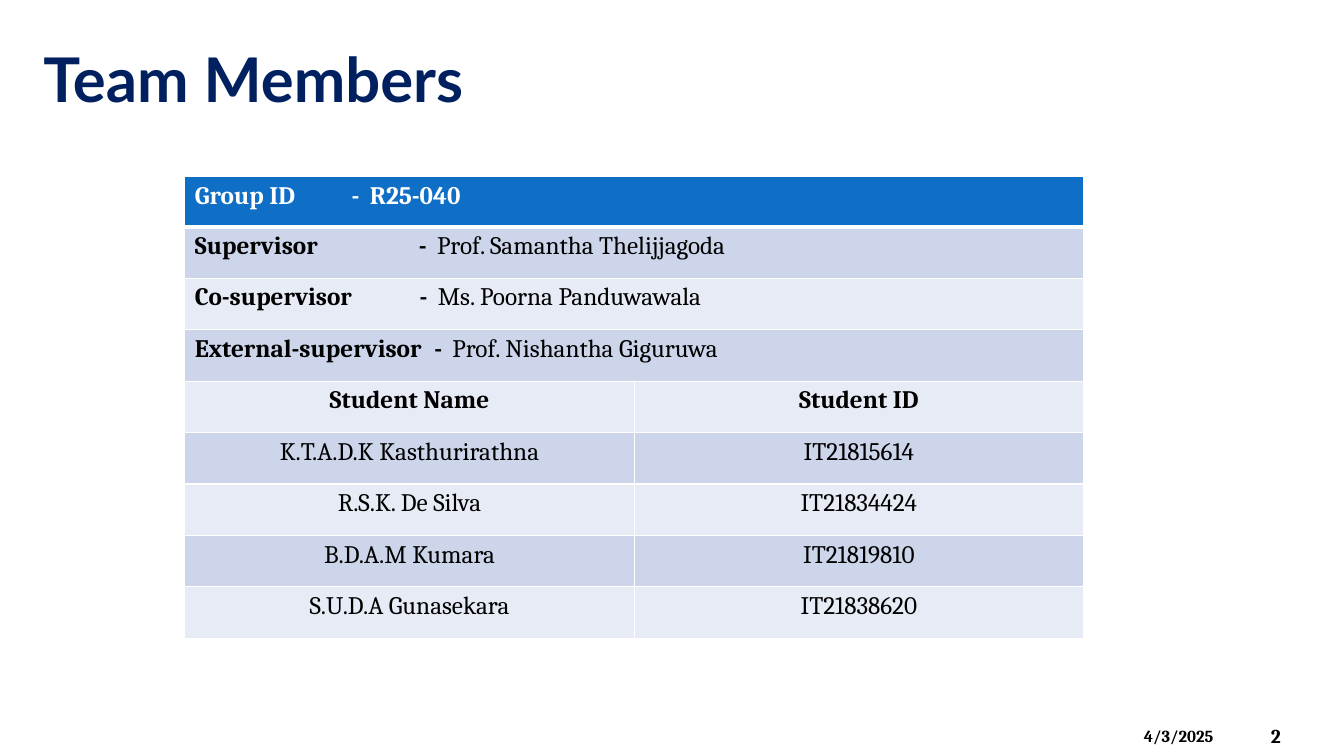
import pptx
import pptx.util
import pptx.dml.color
import pptx.enum.text
import pptx.oxml
import pptx.oxml.ns

Pt = pptx.util.Pt
ALIGN = pptx.enum.text.PP_ALIGN
ANCHOR = pptx.enum.text.MSO_ANCHOR
HUES = {"navy": "002060", "head": "0F6FC6", "dark": "CCD5EA",
        "pale": "E7EBF5", "ink": "000000", "white": "FFFFFF"}
NS = pptx.oxml.ns.nsdecls("a")

LEADS = [
    ("Group ID", "R25-040", 112),
    ("Supervisor", "Prof. Samantha Thelijjagoda", 160),
    ("Co-supervisor", "Ms. Poorna Panduwawala", 160.5),
    ("External-supervisor", "Prof. Nishantha Giguruwa", 171),
]
TEAM = [
    ("Student Name", "Student ID"),
    ("K.T.A.D.K Kasthurirathna", "IT21815614"),
    ("R.S.K. De Silva", "IT21834424"),
    ("B.D.A.M Kumara", "IT21819810"),
    ("S.U.D.A Gunasekara", "IT21838620"),
]


class Deck:
    def __init__(self):
        self.show = pptx.Presentation()
        self.show.slide_width, self.show.slide_height = Pt(960), Pt(540)
        self.slide = self.show.slides.add_slide(self.show.slide_layouts[6])
        self.face = "Cambria"

    def run(self, para, text, hue="ink", **form):
        run = para.add_run()
        run.text = text
        form = {"name": self.face, "size": Pt(18), "bold": True, **form}
        for key, value in form.items():
            setattr(run.font, key, value)
        run.font.color.rgb = pptx.dml.color.RGBColor.from_string(HUES[hue])

    def label(self, text, spot, anchor=ANCHOR.MIDDLE, **form):
        box = self.slide.shapes.add_textbox(*map(Pt, spot))
        frame = box.text_frame
        for key, value in {"word_wrap": True, "vertical_anchor": anchor}.items():
            setattr(frame, key, value)
        self.run(frame.paragraphs[0], text, **form)

    def tabs(self, para, stops):
        marks = "".join(f'<a:tab pos="{Pt(stop)}" algn="l"/>' for stop in stops)
        props = para._p.get_or_add_pPr()
        props.append(pptx.oxml.parse_xml(f"<a:tabLst {NS}>{marks}</a:tabLst>"))

    def trim(self, cell, hue, top, base):
        props = cell._tc.get_or_add_tcPr()
        for side, width in {"L": 1, "R": 1, "T": top, "B": base}.items():
            props.append(pptx.oxml.parse_xml(
                f'<a:ln{side} {NS} w="{Pt(width)}"><a:solidFill>'
                f'<a:srgbClr val="{HUES["white"]}"/></a:solidFill></a:ln{side}>'))
        cell.fill.solid()
        cell.fill.fore_color.rgb = pptx.dml.color.RGBColor.from_string(HUES[hue])

    def grid(self, leads, team, spot, first):
        count = len(leads) + len(team)
        table = self.slide.shapes.add_table(count, 2, *map(Pt, spot)).table
        for key in ("first_row", "horz_banding"):
            setattr(table, key, False)
        for col in table.columns:
            col.width = Pt(spot[2] / 2)
        for i, row in enumerate(table.rows):
            row.height = Pt((spot[3] - first) / (count - 1) if i else first)
            hue = ("pale", "dark")[i % 2] if i else "head"
            for cell in row.cells:
                self.trim(cell, hue, 3 if i == 1 else 1, 1 if i else 3)
        for i, (role, name, dash) in enumerate(leads):
            table.cell(i, 0).merge(table.cell(i, 1))
            para = table.cell(i, 0).text_frame.paragraphs[0]
            self.tabs(para, (dash, dash + 13))
            hue = "ink" if i else "white"
            self.run(para, f"{role}\t-\t", hue)
            self.run(para, name, hue, bold=i == 0)
        for i, pair in enumerate(team):
            for j, text in enumerate(pair):
                para = table.cell(len(leads) + i, j).text_frame.paragraphs[0]
                para.alignment = ALIGN.CENTER
                self.run(para, text, bold=i == 0)


def main():
    deck = Deck()
    deck.label("2", (900.7, 511.2, 53.3, 28.8), size=Pt(14))
    deck.label("4/3/2025", (810, 515, 84, 21.6), ANCHOR.TOP, size=Pt(12))
    deck.label("Team Members", (24, 24, 920, 62.5),
               name="Lato", size=Pt(44), hue="navy")
    deck.grid(LEADS, TEAM, (132, 126, 642, 330), 36)
    deck.show.save("out.pptx")


if __name__ == "__main__":
    main()
